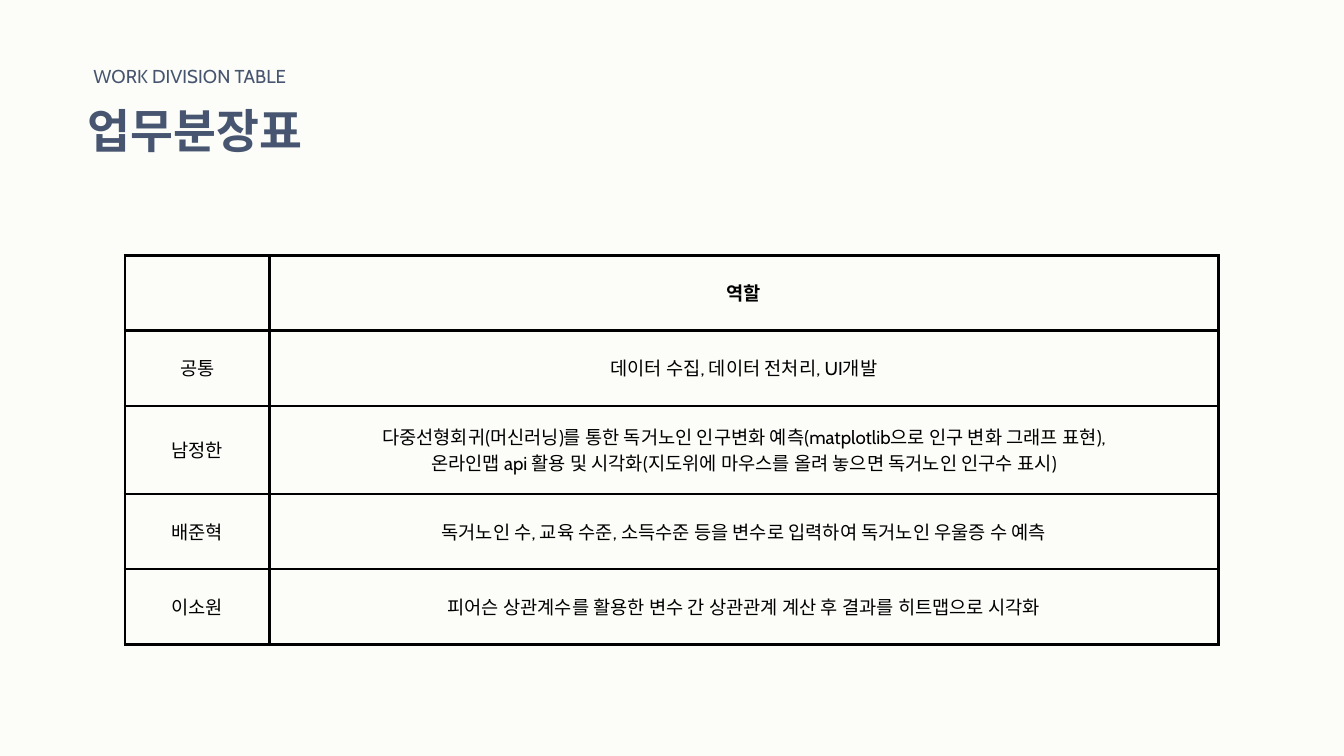
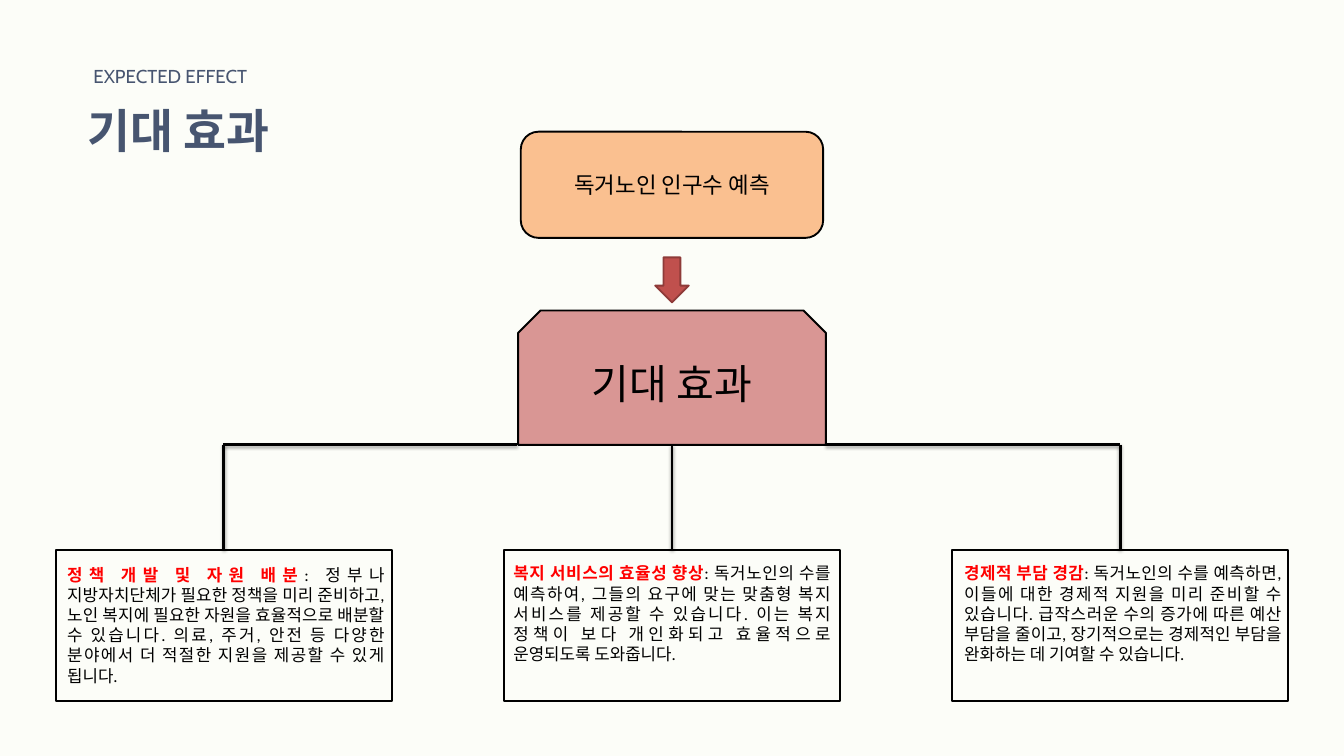
from lxml.etree import SubElement
from pptx import Presentation
from pptx.dml.color import RGBColor
from pptx.enum.shapes import MSO_CONNECTOR as LINK, MSO_SHAPE as SHAPE
from pptx.enum.text import MSO_ANCHOR as ANCHOR, MSO_AUTO_SIZE as FIT, PP_ALIGN as ALIGN
from pptx.oxml import parse_xml
from pptx.oxml.ns import nsdecls, qn
from pptx.util import Emu, Pt

SCALE = 9144  # one px is a hundredth of an inch
COLORS = {
    "paper": "FCFDF8", "heading": "475570", "ink": "000000", "key": "FF0000",
    "forecast": "FAC090", "effect": "D99694", "arrow": "C0504D", "arrow_edge": "8E3B39",
}
STYLES = {
    "title": {"name": "Cabin", "size": Pt(50), "bold": True, "color": "heading"},
    "eyebrow": {"name": "Cabin", "size": Pt(20), "bold": False, "color": "heading"},
    "head": {"name": "Cabin", "size": Pt(20), "bold": True, "color": "ink"},
    "cell": {"name": "Cabin", "size": Pt(20), "bold": False, "color": "ink"},
    "forecast": {"name": "Calibri", "size": Pt(24), "bold": False, "color": "ink"},
    "effect": {"name": "Calibri", "size": Pt(44), "bold": False, "color": "ink"},
    "key": {"name": "Calibri", "size": Pt(18), "bold": True, "color": "key"},
    "detail": {"name": "Calibri", "size": Pt(18), "bold": False, "color": "ink"},
}
MARGINS = ("margin_left", "margin_top", "margin_right", "margin_bottom")

ROLES = [
    ("", ["역할"]),
    ("공통", ["데이터 수집, 데이터 전처리, UI개발"]),
    ("남정한", ["다중선형회귀(머신러닝)를 통한 독거노인 인구변화 예측(matplotlib으로 인구 변화 그래프 표현),",
             "온라인맵 api 활용 및 시각화(지도위에 마우스를 올려 놓으면 독거노인 인구수 표시)"]),
    ("배준혁", ["독거노인 수, 교육 수준, 소득수준 등을 변수로 입력하여 독거노인 우울증 수 예측"]),
    ("이소원", ["피어슨 상관계수를 활용한 변수 간 상관관계 계산 후 결과를 히트맵으로 시각화"]),
]
COLUMN_WIDTHS = (215, 1412)
ROW_HEIGHTS = (112, 112, 131, 112, 112)

# Text left and top, key phrase, explanation
EFFECTS = [
    (90, 835, "정책 개발 및 자원 배분",
     ": 정부나 지방자치단체가 필요한 정책을 미리 준비하고, 노인 복지에 필요한 자원을 효율적으로 "
     "배분할 수 있습니다. 의료, 주거, 안전 등 다양한 분야에서 더 적절한 지원을 제공할 수 있게 됩니다."),
    (754, 833, "복지 서비스의 효율성 향상",
     ": 독거노인의 수를 예측하여, 그들의 요구에 맞는 맞춤형 복지 서비스를 제공할 수 있습니다. "
     "이는 복지 정책이 보다 개인화되고 효율적으로 운영되도록 도와줍니다."),
    (1425, 833, "경제적 부담 경감",
     ": 독거노인의 수를 예측하면, 이들에 대한 경제적 지원을 미리 준비할 수 있습니다. 급작스러운 수의 "
     "증가에 따른 예산 부담을 줄이고, 장기적으로는 경제적인 부담을 완화하는 데 기여할 수 있습니다."),
]


def px(*lengths):
    return [Emu(length * SCALE) for length in lengths]


def rgb(name):
    return RGBColor.from_string(COLORS[name])


# Text
def set_format(target, **values):
    for name, value in values.items():
        setattr(target, name, value)


def add_span(para, text, style):
    span = para.add_run()
    span.text = text
    for name, value in STYLES[style].items():
        if name == "color":
            span.font.color.rgb = rgb(value)
        else:
            setattr(span.font, name, value)


def write(frame, paragraphs, align, spacing=None):
    """Each paragraph is a list of (text, style) spans."""
    for index, spans in enumerate(paragraphs):
        para = frame.add_paragraph() if index else frame.paragraphs[0]
        set_format(para, alignment=align, line_spacing=spacing)
        for text, style in spans:
            add_span(para, text, style)


def add_text(page, bounds, spans, align, spacing=None, margins=None):
    box = page.shapes.add_textbox(*px(*bounds))
    box.text_frame.word_wrap = True
    if margins is not None:
        set_format(box.text_frame, **dict.fromkeys(MARGINS, margins))
    write(box.text_frame, [spans], align, spacing)


def add_page(deck, title, eyebrow):
    page = deck.slides.add_slide(deck.slide_layouts[5])
    heading = page.shapes.title
    set_format(heading, **dict(zip(("left", "top", "width", "height"), px(130, 137, 361, 94))))
    set_format(heading.text_frame, **dict.fromkeys(MARGINS, 0), vertical_anchor=ANCHOR.TOP,
               word_wrap=True, auto_size=FIT.NONE)
    write(heading.text_frame, [[(title, "title")]], ALIGN.LEFT, Pt(70))
    add_text(page, (139, 91, 299, 77), [(eyebrow, "eyebrow")], ALIGN.LEFT, Pt(28), 0)
    return page


# Table
def border_cell(cell, width):
    properties = cell._tc.get_or_add_tcPr()
    for index, side in enumerate(("lnL", "lnR", "lnT", "lnB")):
        properties.insert(index, parse_xml(
            f'<a:{side} {nsdecls("a")} w="{width}"><a:solidFill>'
            f'<a:srgbClr val="{COLORS["ink"]}"/></a:solidFill></a:{side}>'))


def add_role_table(page):
    bounds = px(186, 380, sum(COLUMN_WIDTHS), sum(ROW_HEIGHTS))
    table = page.shapes.add_table(len(ROLES), len(COLUMN_WIDTHS), *bounds).table
    for column, width in zip(table.columns, px(*COLUMN_WIDTHS)):
        column.width = width
    for row, height in zip(table.rows, px(*ROW_HEIGHTS)):
        row.height = height
    for row_index, (member, duties) in enumerate(ROLES):
        style = "cell" if row_index else "head"
        for column_index, lines in enumerate(([member], duties)):
            cell = table.cell(row_index, column_index)
            set_format(cell, **dict.fromkeys(MARGINS, px(21)[0]), vertical_anchor=ANCHOR.MIDDLE)
            cell.fill.background()
            border_cell(cell, Pt(3))
            spans = [[(line, style)] if line else [] for line in lines]
            write(cell.text_frame, spans, ALIGN.CENTER, Pt(28))


# Diagram
def add_block(page, kind, bounds, fill=None, edge="ink", text="", style=None):
    block = page.shapes.add_shape(kind, *px(*bounds))
    block.shadow.inherit = False
    if fill:
        block.fill.solid()
        block.fill.fore_color.rgb = rgb(fill)
    else:
        block.fill.background()
    block.line.color.rgb = rgb(edge)
    block.line.width = Pt(2)
    if text:
        block.text_frame.vertical_anchor = ANCHOR.MIDDLE
        write(block.text_frame, [[(text, style)]], ALIGN.CENTER)
    return block


def add_branch(page, start, end, target=None):
    branch = page.shapes.add_connector(LINK.STRAIGHT, *px(*start, *end))
    if target is not None:
        branch.end_connect(target, 0)
    branch.line.color.rgb = rgb("ink")
    branch.line.width = Pt(3)
    # Soft shadow straight below the line
    effects = SubElement(branch._element.spPr, qn("a:effectLst"))
    shadow = SubElement(effects, qn("a:outerShdw"), blurRad="40000", dist="23000",
                        dir="5400000", rotWithShape="0")
    color = SubElement(shadow, qn("a:srgbClr"), val=COLORS["ink"])
    SubElement(color, qn("a:alpha"), val="35000")


def add_effect_tree(page):
    add_block(page, SHAPE.ROUNDED_RECTANGLE, (775, 196, 450, 158), "forecast",
              text="독거노인 인구수 예측", style="forecast")
    add_block(page, SHAPE.SNIP_2_SAME_RECTANGLE, (771, 462, 458, 200), "effect",
              text="기대 효과", style="effect")
    add_block(page, SHAPE.DOWN_ARROW, (975, 383, 50, 67), "arrow", "arrow_edge")

    # Three equal boxes hang from one rail
    rail, box_top, box_width, step = 662, 818, 500, 667
    for index, (left, top, key, detail) in enumerate(EFFECTS):
        box_left = 83 + index * step
        center = box_left + box_width // 2
        box = add_block(page, SHAPE.RECTANGLE, (box_left, box_top, box_width, 225))
        add_branch(page, (center, rail), (center, box_top), box)
        add_text(page, (left, top, 492, 192), [(key, "key"), (detail, "detail")], ALIGN.JUSTIFY)
    add_branch(page, (1229, rail), (1667, rail))
    add_branch(page, (332, rail), (769, rail))


def main():
    deck = Presentation()
    deck.slide_width, deck.slide_height = px(2000, 1125)
    background = deck.slide_master.background.fill
    background.solid()
    background.fore_color.rgb = rgb("paper")

    add_role_table(add_page(deck, "업무분장표", "WORK DIVISION TABLE"))
    add_effect_tree(add_page(deck, "기대 효과", "EXPECTED EFFECT"))
    deck.save("out.pptx")


if __name__ == "__main__":
    main()
